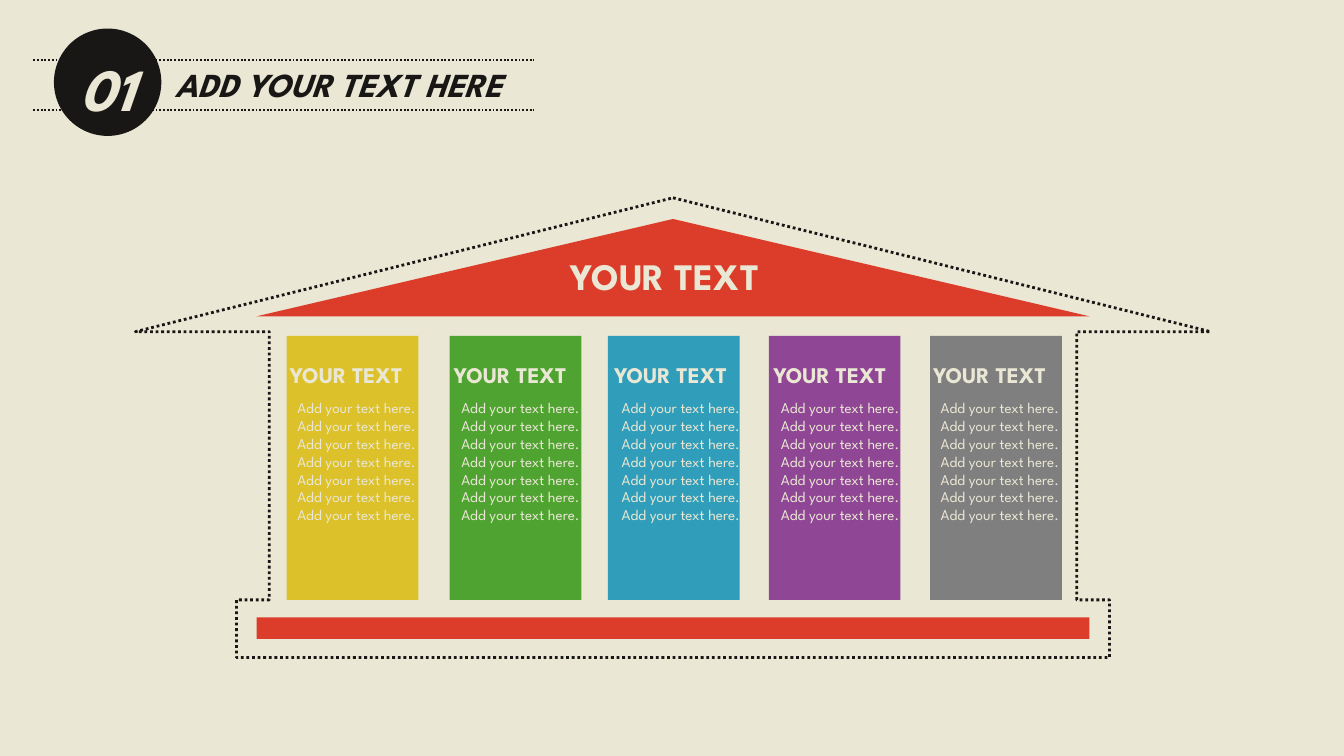
import pptx
import pptx.util
from lxml import etree
from pptx.dml.color import RGBColor
from pptx.enum.dml import MSO_LINE
from pptx.enum.shapes import MSO_CONNECTOR, MSO_SHAPE
from pptx.enum.text import MSO_ANCHOR, MSO_AUTO_SIZE, PP_ALIGN
from pptx.oxml.ns import qn
from pptx.util import Cm

FONT = "League Spartan"
HUES = {
    "cream": "EAE7D4",
    "ink": "181715",
    "red": "DC3D2A",
    "yellow": "DCC12A",
    "green": "4FA331",
    "blue": "309EBA",
    "purple": "8F4695",
    "gray": "7F7F7F",
}
RGB = {name: RGBColor.from_string(code) for name, code in HUES.items()}

deck = pptx.Presentation()
deck.slide_width, deck.slide_height = Cm(25.4), Cm(14.29)
slide = deck.slides.add_slide(deck.slide_layouts[5])
slide.background.fill.solid()
slide.background.fill.fore_color.rgb = RGB["cream"]
shapes = slide.shapes


def block(kind, box, hue):
    shape = shapes.add_shape(kind, *map(Cm, box))
    shape.shadow.inherit = False
    shape.fill.solid()
    shape.fill.fore_color.rgb = RGB[hue]
    shape.line.fill.background()


def write(words, box, size, hue="cream", bold=True, slant=False, wrap=False, shape=None):
    """Fill the given shape, or a new text box, with one paragraph."""
    shape = shape or shapes.add_textbox(0, 0, 0, 0)
    shape.left, shape.top, shape.width, shape.height = map(Cm, box)
    frame = shape.text_frame
    frame.text = words
    frame.word_wrap = wrap
    frame.auto_size = MSO_AUTO_SIZE.SHAPE_TO_FIT_TEXT
    frame.vertical_anchor = MSO_ANCHOR.TOP
    para = frame.paragraphs[0]
    para.alignment = PP_ALIGN.LEFT
    para.font.name = FONT
    para.font.size = pptx.util.Pt(size)
    para.font.bold, para.font.italic = bold, slant
    para.font.color.rgb = RGB[hue]


# Header
for y in (1.14, 2.08):
    rule = shapes.add_connector(MSO_CONNECTOR.STRAIGHT, Cm(0.63), Cm(y), Cm(10.1), Cm(y))
    rule.line.color.rgb = RGB["ink"]
    rule.line.width = pptx.util.Pt(1)
    rule.line.dash_style = MSO_LINE.ROUND_DOT
    etree.SubElement(rule.element.spPr, qn("a:effectLst"))
block(MSO_SHAPE.OVAL, (1.02, 0.54, 2.03, 2.03), "ink")
write("ADD YOUR TEXT HERE", (3.05, 1.09, 6.83, 1.02), 18, "ink", slant=True, shape=shapes.title)
write("01", (1.25, 0.86, 1.75, 1.63), 32, slant=True)

# Temple outline, mirrored about its axis
axis = 12.72
right = [(10.16, 6.27), (7.63, 6.27), (7.63, 11.34), (8.25, 11.34), (8.25, 12.43)]
left = [(-x, y) for x, y in reversed(right)]
pen = shapes.build_freeform(Cm(axis), Cm(3.74))
pen.add_line_segments([(Cm(axis + x), Cm(y)) for x, y in right + left])
temple = pen.convert_to_shape()
temple.shadow.inherit = False
temple.fill.background()
temple.line.color.rgb = RGB["ink"]
temple.line.width = pptx.util.Pt(1.5)
temple.line.dash_style = MSO_LINE.ROUND_DOT

# Roof and base
block(MSO_SHAPE.ISOSCELES_TRIANGLE, (4.85, 4.14, 15.74, 1.84), "red")
block(MSO_SHAPE.RECTANGLE, (4.85, 11.67, 15.74, 0.41), "red")
write("YOUR TEXT", (10.54, 4.67, 4.37, 1.12), 20)

# Pillars: hue, pillar left, text left
pillars = [
    ("yellow", 5.42, 5.23),
    ("green", 8.5, 8.33),
    ("blue", 11.49, 11.36),
    ("purple", 14.53, 14.37),
    ("gray", 17.58, 17.39),
]
body = " ".join(["Add your text here."] * 7)
for hue, x, text_x in pillars:
    block(MSO_SHAPE.RECTANGLE, (x, 6.35, 2.49, 4.99), hue)
    write("YOUR TEXT", (text_x, 6.71, 2.82, 0.76), 12)
    write(body, (text_x + 0.14, 7.41, 2.79, 3.99), 8, bold=False, wrap=True)

deck.save("out.pptx")
